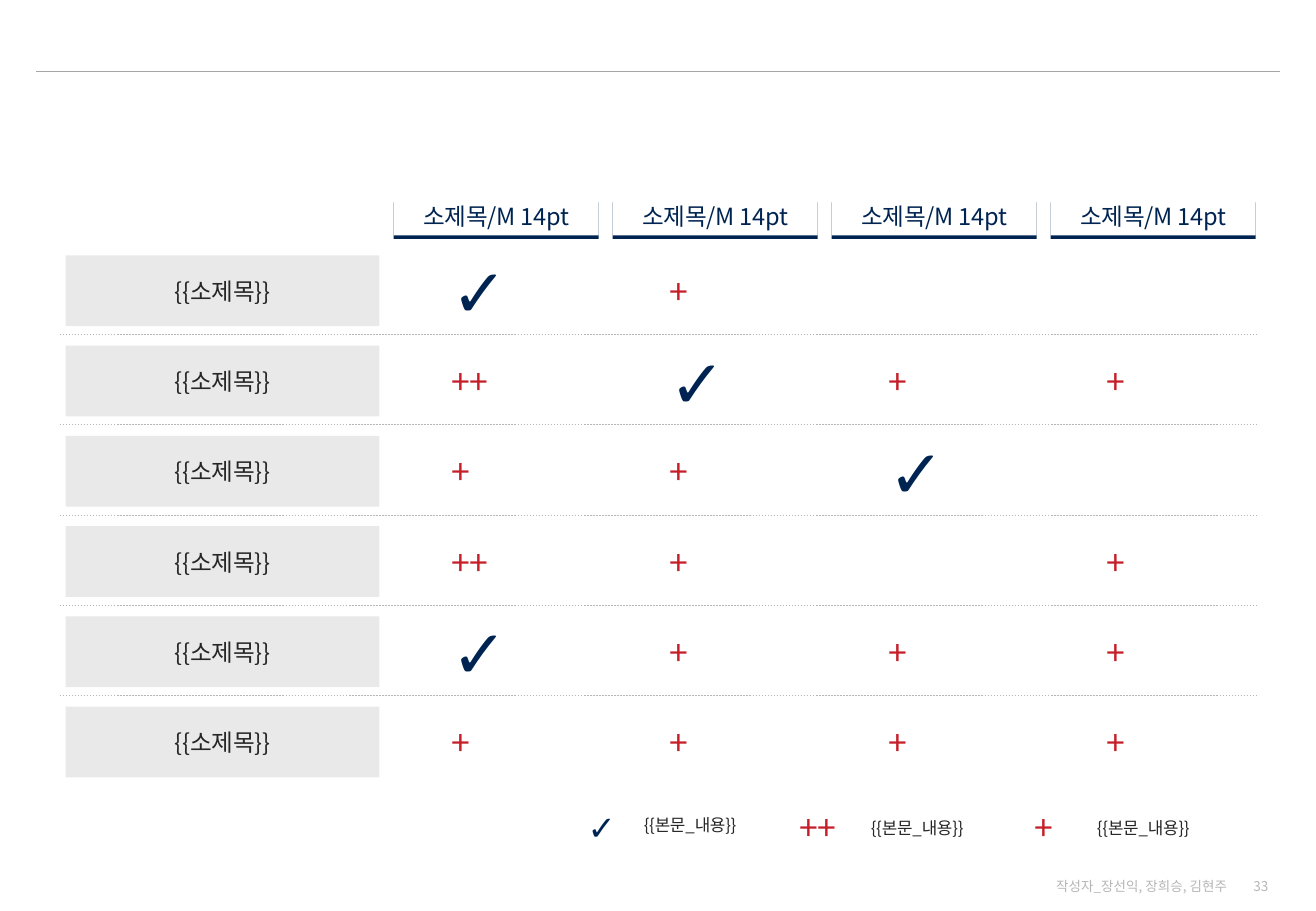
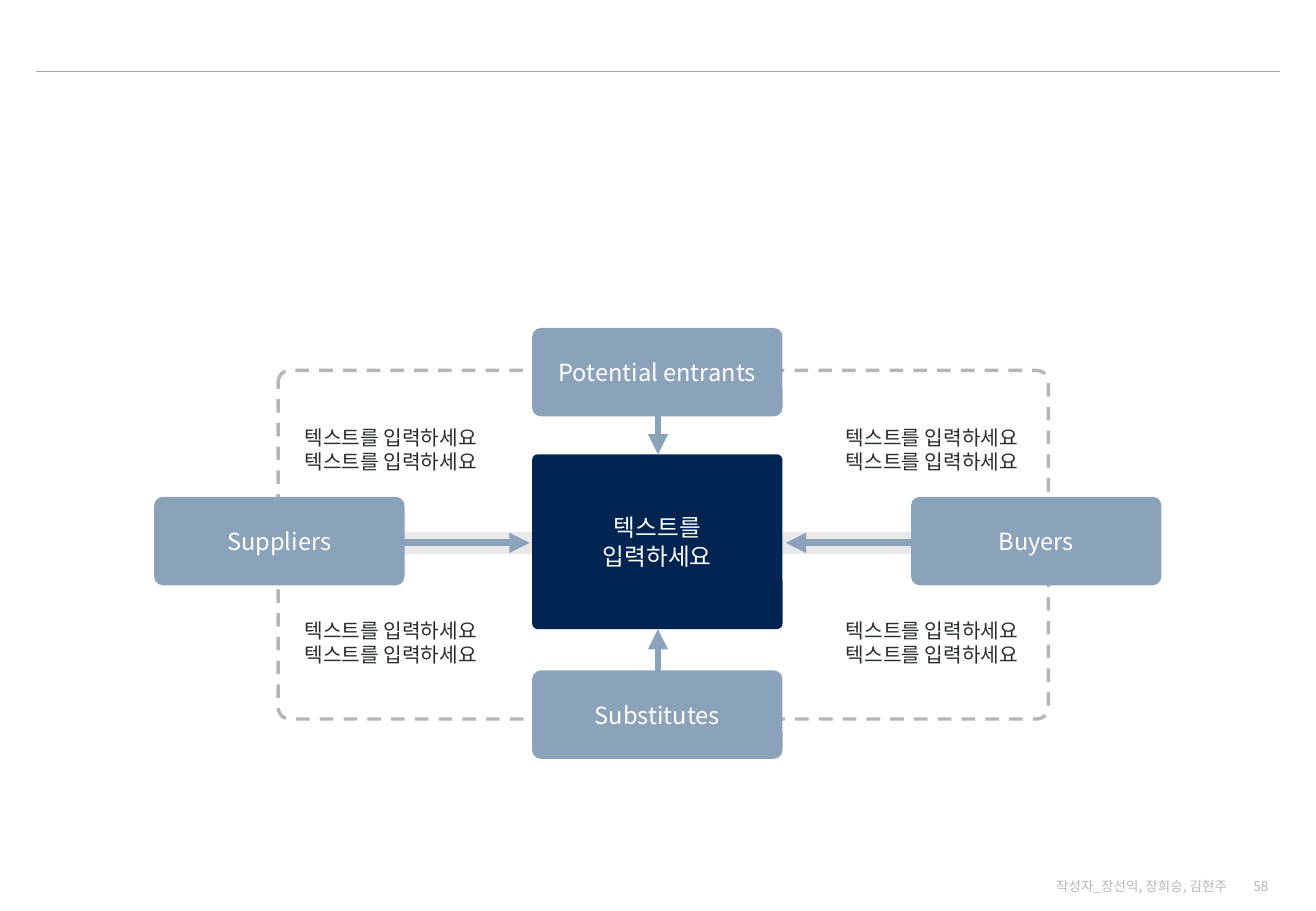
from dataclasses import dataclass

from lxml.etree import SubElement
from pptx import Presentation
from pptx.dml.color import RGBColor
from pptx.enum.dml import MSO_LINE
from pptx.enum.shapes import MSO_CONNECTOR, MSO_SHAPE
from pptx.enum.text import MSO_ANCHOR, PP_ALIGN
from pptx.oxml.ns import qn
from pptx.util import Pt


@dataclass(frozen=True)
class Theme:
    navy: str = "002452"
    steel: str = "8BA2BB"
    red: str = "C51F2A"
    ink: str = "262626"
    slate: str = "252D30"
    panel: str = "E9E9E9"
    muted: str = "B6B6B6"
    rule: str = "A6A6A6"
    white: str = "FFFFFF"
    font: str = "Noto Sans CJK KR"
    check_font: str = "Arial"
    check: int = 40
    mark: int = 20
    heading: int = 14
    body: int = 12
    note: int = 10
    footer: int = 8


theme = Theme()


def place(slide, bounds, lines=(), size=theme.heading, colour=theme.ink, kind=None,
          fill=None, corner=None, align=PP_ALIGN.LEFT, anchor=MSO_ANCHOR.MIDDLE,
          insets=(7.2, 7.2), font=theme.font, tracking=0):
    bounds = [Pt(value) for value in bounds]
    if kind is None:
        shape = slide.shapes.add_textbox(*bounds)
    else:
        shape = slide.shapes.add_shape(kind, *bounds)
        shape.shadow.inherit = False
        shape.line.fill.background()
        if fill:
            shape.fill.solid()
            shape.fill.fore_color.rgb = RGBColor.from_string(fill)
        else:
            shape.fill.background()
        if corner:
            shape.adjustments[0] = corner
    frame = shape.text_frame
    frame.word_wrap = True
    frame.vertical_anchor = anchor
    frame.margin_left = frame.margin_right = Pt(insets[0])
    frame.margin_top = frame.margin_bottom = Pt(insets[1])
    for index, text in enumerate(lines):
        paragraph = frame.add_paragraph() if index else frame.paragraphs[0]
        paragraph.alignment = align
        run = paragraph.add_run()
        run.text = text
        run.font.size = Pt(size)
        run.font.name = font
        run.font.color.rgb = RGBColor.from_string(colour)
        properties = run._r.get_or_add_rPr()
        SubElement(properties, qn("a:ea"), typeface=font)
        if tracking:
            properties.set("spc", str(tracking))
    return shape


def connect(slide, start, end, colour, width, dash=None, arrow=False):
    connector = slide.shapes.add_connector(
        MSO_CONNECTOR.STRAIGHT, *[Pt(value) for value in (*start, *end)])
    connector.line.color.rgb = RGBColor.from_string(colour)
    connector.line.width = Pt(width)
    if dash:
        connector.line.dash_style = dash
    if arrow:
        SubElement(connector.line._get_or_add_ln(), qn("a:tailEnd"), type="triangle")
    SubElement(connector._element.spPr, qn("a:effectLst"))


deck = Presentation()
deck.slide_width, deck.slide_height = Pt(780), Pt(540)
matrix, forces = [deck.slides.add_slide(deck.slide_layouts[6]) for _ in range(2)]

for slide, number in ((matrix, "33"), (forces, "58")):
    connect(slide, (21.4, 42.5), (758.9, 42.5), theme.rule, 0.75)
    for left, width, text in ((729.4, 29.5, number),
                              (613.4, 121, "작성자_장선익, 장희승, 김현주")):
        place(slide, (left, 519.8, width, 11.5), [text], theme.footer, theme.muted,
              align=PP_ALIGN.RIGHT, insets=(7.2, 3.6))

MARK_ROWS = (
    ("✓", "+", "", ""),
    ("++", "✓", "+", "+"),
    ("+", "+", "✓", ""),
    ("++", "+", "", "+"),
    ("✓", "+", "+", "+"),
    ("+", "+", "+", "+"),
)
FIRST_ROW, ROW_STEP, ROW_HEIGHT = 151.4, 53.5, 42
COLUMN_STEP = 129.8
TRACKING = -20

for column in range(4):
    header = place(matrix, (233.4 + column * COLUMN_STEP, 118, 121.5, 21.6),
                   ["소제목/M 14pt"], theme.heading, theme.navy, MSO_SHAPE.RECTANGLE,
                   theme.white, align=PP_ALIGN.CENTER, anchor=MSO_ANCHOR.BOTTOM,
                   insets=(7.2, 0), tracking=TRACKING)
    header.text_frame.margin_bottom = Pt(2.9)
    effects = header._element.spPr.find(qn("a:effectLst"))
    underline = SubElement(effects, qn("a:outerShdw"), blurRad="0", dist=str(Pt(2)),
                           dir="5400000", algn="t", rotWithShape="0")
    SubElement(underline, qn("a:srgbClr"), val=theme.navy)

for row, marks in enumerate(MARK_ROWS):
    top = FIRST_ROW + row * ROW_STEP
    place(matrix, (38.9, top, 186, ROW_HEIGHT), ["{{소제목}}"], kind=MSO_SHAPE.RECTANGLE,
          fill=theme.panel, align=PP_ALIGN.CENTER, tracking=TRACKING)
    if row:
        divider = top - (ROW_STEP - ROW_HEIGHT) / 2 - 1
        connect(matrix, (35.3, divider), (744.5, divider), theme.muted, 0.25, MSO_LINE.DASH)
    for column, mark in enumerate(marks):
        if mark:
            checked = mark == "✓"
            place(matrix, (260.6 + column * 129.4, top, 69, ROW_HEIGHT), [mark],
                  theme.check if checked else theme.mark,
                  theme.navy if checked else theme.red,
                  font=theme.check_font if checked else theme.font, tracking=TRACKING)

for mark, mark_left, note_left, note_top, colour, font in (
        ("✓", 341.3, 381.6, 483.1, theme.navy, theme.check_font),
        ("++", 466.6, 516.2, 484.5, theme.red, theme.font),
        ("+", 606.2, 650.2, 484.5, theme.red, theme.font)):
    place(matrix, (mark_left, 483.1, 39, 13.7), [mark], theme.mark, colour,
          font=font, tracking=TRACKING)
    place(matrix, (note_left, note_top, 56, 12.2), ["{{본문_내용}}"], theme.note,
          insets=(0, 0), tracking=TRACKING)

PROMPT = "텍스트를 입력하세요"
BOX_WIDTH, BOX_HEIGHT = 148.4, 52.5

boundary = place(forces, (164.9, 219.6, 456.5, 206.6), kind=MSO_SHAPE.ROUNDED_RECTANGLE,
                 corner=0.033)
boundary.line.color.rgb = RGBColor.from_string(theme.muted)
boundary.line.width = Pt(2)
boundary.line.dash_style = MSO_LINE.DASH
place(forces, (171.4, 315.4, 442.8, 13), kind=MSO_SHAPE.ROUNDED_RECTANGLE,
      fill=theme.panel, corner=0.02)
place(forces, (315.4, 269.3, BOX_WIDTH, 103.7), [PROMPT], colour=theme.white,
      kind=MSO_SHAPE.ROUNDED_RECTANGLE, fill=theme.navy, corner=0.032,
      align=PP_ALIGN.CENTER, insets=(18, 3.6))

for force, left, top, start, end in (
        ("Potential entrants", 315.4, 194.4, (390, 239), (390, 269.3)),
        ("Substitutes", 315.4, 397.4, (390, 404), (390, 373)),
        ("Suppliers", 91.4, 294.5, (234, 321.8), (313.9, 321.8)),
        ("Buyers", 540, 294.5, (540, 321.8), (465.8, 321.8))):
    place(forces, (left, top, BOX_WIDTH, BOX_HEIGHT), [force], colour=theme.white,
          kind=MSO_SHAPE.ROUNDED_RECTANGLE, fill=theme.steel, corner=0.099,
          align=PP_ALIGN.CENTER, insets=(7.2, 3.6))
    connect(forces, start, end, theme.steel, 4, arrow=True)

for left, align in ((177.8, PP_ALIGN.LEFT), (488.9, PP_ALIGN.RIGHT)):
    for top in (249.1, 363.6):
        place(forces, (left, top, 117.4, 29.5), [PROMPT] * 2, theme.body, theme.slate,
              align=align, anchor=MSO_ANCHOR.TOP, insets=(2.9, 2.9))

deck.save("out.pptx")
